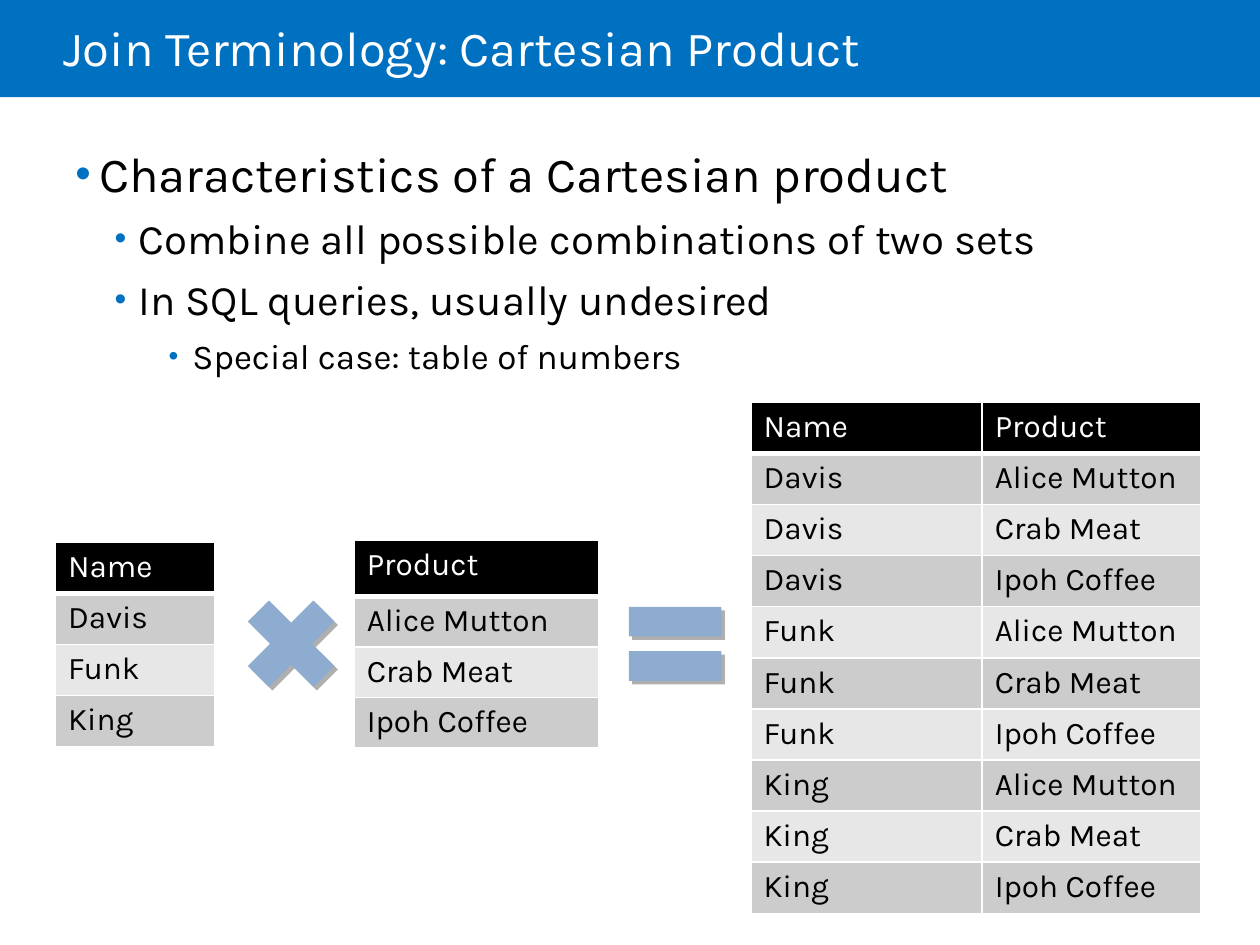
from itertools import product

from lxml import etree
from pptx import Presentation
from pptx.dml.color import RGBColor
from pptx.enum.shapes import MSO_SHAPE
from pptx.enum.text import MSO_ANCHOR, MSO_AUTO_SIZE, PP_ALIGN
from pptx.oxml.ns import qn
from pptx.util import Cm, Pt

RECT, TIMES, EQUAL = MSO_SHAPE.RECTANGLE, MSO_SHAPE.MATH_MULTIPLY, MSO_SHAPE.MATH_EQUAL
MIDDLE, LEFT, FIXED = MSO_ANCHOR.MIDDLE, PP_ALIGN.LEFT, MSO_AUTO_SIZE.NONE

FONT = "Karla"
COLORS = {
    "bar": "0070C0", "text": "000000", "light": "FFFFFF", "head": "000000",
    "odd": "CCCCCC", "even": "E7E7E7", "sign": "8DACD0", "shade": "AFAFAF",
}
# Size, left margin in cm and bullet size in percent for each level
LEVELS = [(28, 0.48, 90), (24, 1.27, 80), (20, 2.36, 80)]
HANG = 0.48


def node(parent, tag, **attrs):
    return etree.SubElement(parent, qn(tag), {k: str(v) for k, v in attrs.items()})


class Deck:
    def __init__(self, wide, high):
        self.prs = Presentation()
        self.prs.slide_width, self.prs.slide_height = Cm(wide), Cm(high)
        self.slide = self.prs.slides.add_slide(self.prs.slide_layouts[5])
        self.shapes = self.slide.shapes

    def text(self, para, words, size, color):
        run = para.add_run()
        run.text = words
        run.font.size, run.font.name = Pt(size), FONT
        run.font.color.rgb = RGBColor.from_string(COLORS[color])

    def shape(self, kind, box, color):
        item = self.shapes.add_shape(kind, *map(Cm, box))
        item.shadow.inherit = False
        item.fill.solid()
        item.fill.fore_color.rgb = RGBColor.from_string(COLORS[color])
        item.line.fill.background()
        return item

    def bar(self, box):
        item = self.shape(RECT, box, "bar")
        self.shapes._spTree.insert(2, item._element)

    def sign(self, kind, box):
        item = self.shape(kind, box, "sign")
        effects = item._element.spPr.find(qn("a:effectLst"))
        shade = node(effects, "a:outerShdw", blurRad=0, dist=Pt(2.8), dir=45 * 60000,
                     algn="ctr", rotWithShape=0)
        node(shade, "a:srgbClr", val=COLORS["shade"])

    def title(self, words, box):
        item = self.shapes.title
        item.left, item.top, item.width, item.height = map(Cm, box)
        frame = item.text_frame
        frame.auto_size, frame.vertical_anchor = FIXED, MIDDLE
        frame.margin_left = 0
        para = frame.paragraphs[0]
        para.alignment, para.line_spacing = LEFT, 0.85
        self.text(para, words, 28, "light")

    def bullets(self, items, box):
        frame = self.shapes.add_textbox(*map(Cm, box)).text_frame
        frame.word_wrap = True
        for i, (level, words) in enumerate(items):
            para = frame.add_paragraph() if i else frame.paragraphs[0]
            size, left, scale = LEVELS[level]
            para.level, para.space_before = level, Pt(6)
            props = para._p.get_or_add_pPr()
            props.set("marL", str(Cm(left)))
            props.set("indent", str(-Cm(HANG)))
            node(node(props, "a:buClr"), "a:srgbClr", val=COLORS["bar"])
            node(props, "a:buSzPct", val=scale * 1000)
            node(props, "a:buFont", typeface="Arial")
            node(props, "a:buChar", char="•")
            self.text(para, words, size, "text")

    def cell(self, cell, words, row):
        props = cell._tc.get_or_add_tcPr()
        for side in "LRTB":
            thick = 3 if row == 0 and side == "B" else 1
            line = node(props, f"a:ln{side}", w=Pt(thick))
            node(node(line, "a:solidFill"), "a:srgbClr", val=COLORS["light"])
        shade = "head" if row == 0 else "odd" if row % 2 else "even"
        cell.fill.solid()
        cell.fill.fore_color.rgb = RGBColor.from_string(COLORS[shade])
        self.text(cell.text_frame.paragraphs[0], words, 18, "text" if row else "light")

    def table(self, rows, left, top, widths, head=1.03, high=1.03):
        total = head + high * (len(rows) - 1)
        table = self.shapes.add_table(len(rows), len(widths), Cm(left), Cm(top),
                                      Cm(sum(widths)), Cm(total)).table
        table.first_row = table.horz_banding = False
        for col, width in zip(table.columns, widths):
            col.width = Cm(width)
        for r, row in enumerate(rows):
            table.rows[r].height = Cm(high if r else head)
            for c, words in enumerate(row):
                self.cell(table.cell(r, c), words, r)


def main():
    deck = Deck(25.4, 19.05)

    # Title bar
    deck.bar((0, 0, 25.4, 1.96))
    deck.title("Join Terminology: Cartesian Product", (1.27, 0, 21.6, 2.06))

    # Main points
    deck.bullets([
        (0, "Characteristics of a Cartesian product"),
        (1, "Combine all possible combinations of two sets"),
        (1, "In SQL queries, usually undesired"),
        (2, "Special case: table of numbers"),
    ], (1.27, 2.77, 21.54, 12.2))

    # Two sets and their product
    names = ["Davis", "Funk", "King"]
    goods = ["Alice Mutton", "Crab Meat", "Ipoh Coffee"]
    deck.table([("Name",), *zip(names)], 1.12, 10.93, [3.2])
    deck.table([("Product",), *zip(goods)], 7.14, 10.9, [4.93], 1.13, 1)
    deck.table([("Name", "Product"), *product(names, goods)], 15.14, 8.11, [4.66, 4.41])

    # Signs between the tables
    deck.sign(TIMES, (4.6, 11.71, 2.54, 2.54))
    deck.sign(EQUAL, (12.34, 11.71, 2.54, 2.54))

    deck.prs.save("out.pptx")


if __name__ == "__main__":
    main()
